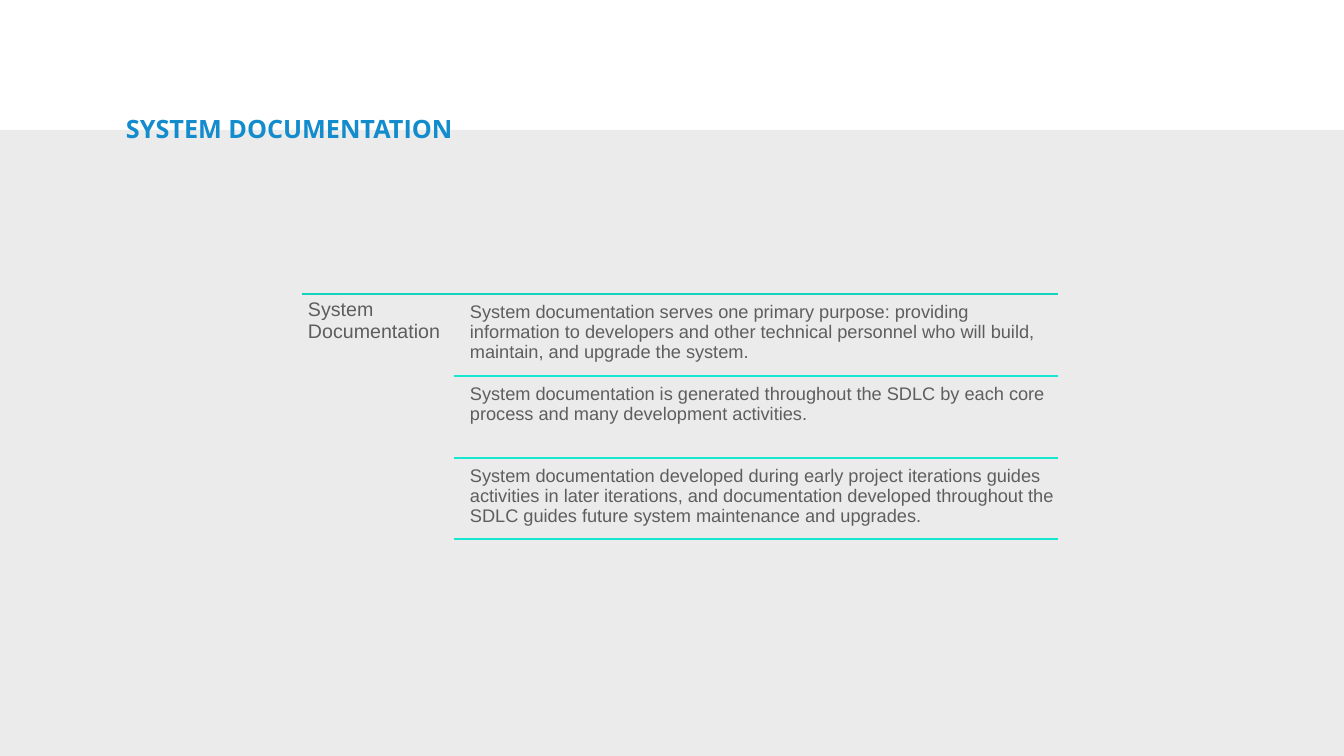
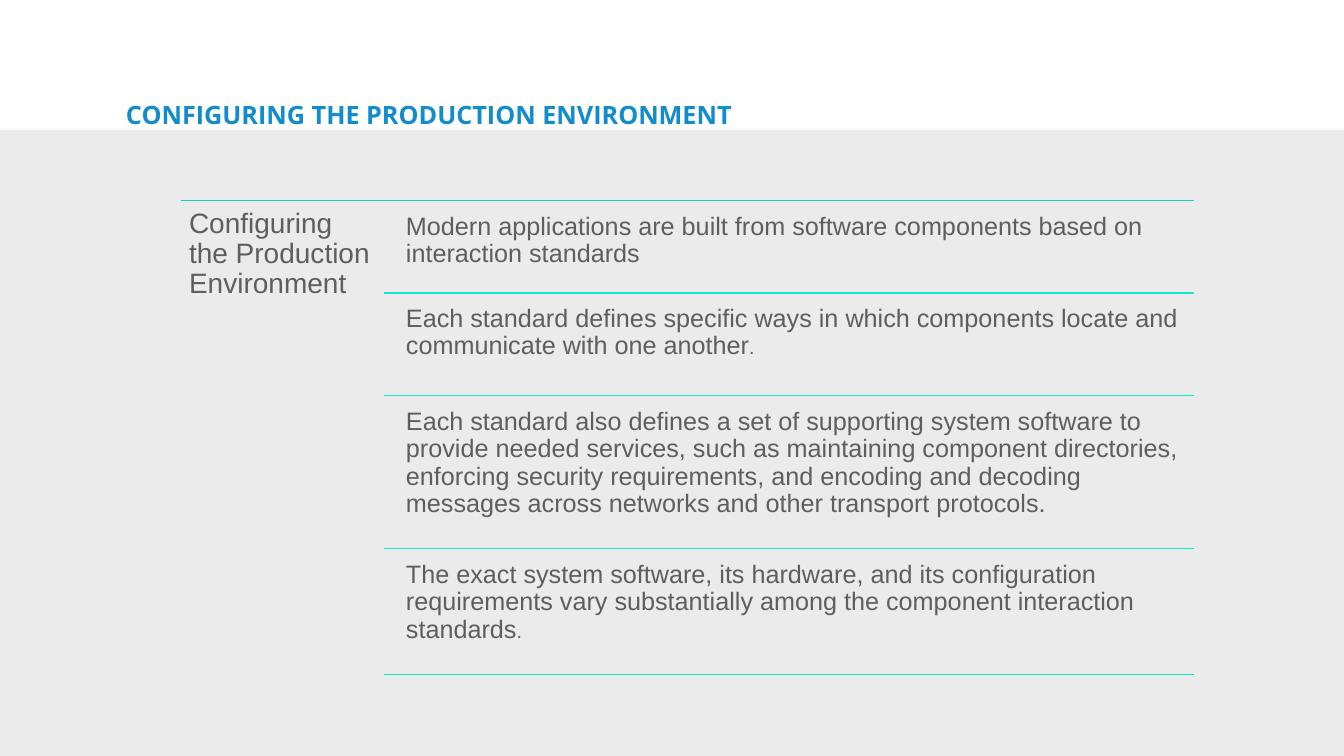
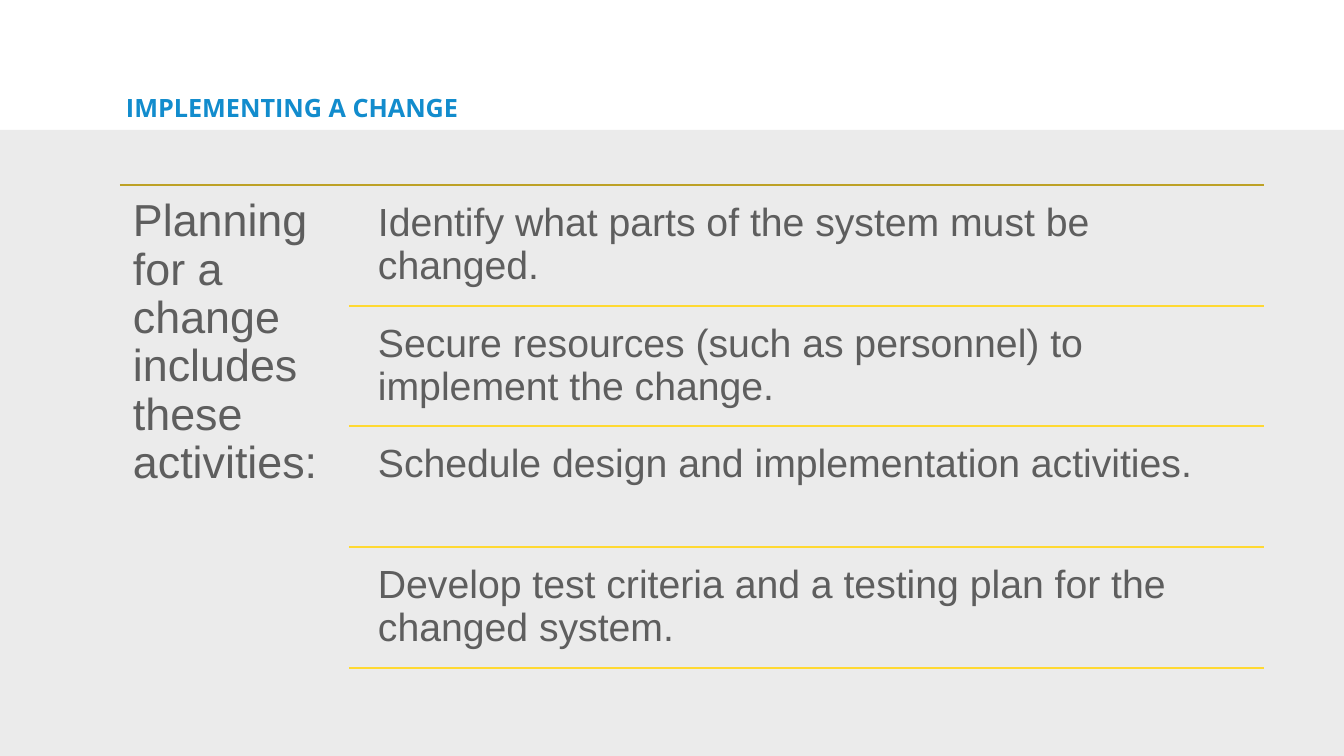
from dataclasses import dataclass
from itertools import accumulate

from lxml.etree import SubElement
from pptx import Presentation
from pptx.dml.color import RGBColor
from pptx.enum.shapes import MSO_CONNECTOR, MSO_SHAPE
from pptx.enum.text import MSO_ANCHOR, MSO_AUTO_SIZE, PP_ALIGN
from pptx.oxml.ns import qn
from pptx.shapes.shapetree import GroupShapes
from pptx.slide import Slide, SlideLayout
from pptx.text.text import TextFrame
from pptx.util import Pt

EMU_PER_PX = 914400 / 100.8
SLIDE_WIDTH, SLIDE_HEIGHT = 1344, 756
BAND_TOP = 130
TITLE_LEFT, TITLE_WIDTH, TITLE_INSET = 120, 811, 6


@dataclass(frozen=True)
class TextStyle:
    font: str
    color: str
    size: int
    bold: bool = False
    spacing: float = 0.9


@dataclass(frozen=True)
class Theme:
    band: str = "EBEBEB"
    teal: str = "16E7CF"
    dark_teal: str = "14D2BC"
    yellow: str = "FFD932"
    dark_yellow: str = "BDA125"
    title: TextStyle = TextStyle("Open Sans", "128CCD", 18, True, 1.15)
    body_font: str = "Arial"
    body_color: str = "5E5E5E"
    small_stop: int = 14

    def body(self, size: int) -> TextStyle:
        return TextStyle(self.body_font, self.body_color, size)


THEME = Theme()


@dataclass(frozen=True)
class Run:
    text: str
    size: int | None = None


@dataclass(frozen=True)
class Row:
    height: int
    runs: tuple[Run, ...]


@dataclass(frozen=True)
class Box:
    left: int
    top: int
    width: int
    height: int


@dataclass(frozen=True)
class Outline:
    """A label on the left and ruled rows on the right of it."""
    label: str
    rows: tuple[Row, ...]
    left: int
    branch: int
    text_left: int
    right: int
    top: int
    gap: int
    label_inset: int
    row_inset: int
    label_size: int
    row_size: int
    head_color: str
    rule_color: str
    rule_width: float


@dataclass(frozen=True)
class Page:
    title: str
    title_top: int
    title_height: int
    outline: Outline


SMALL_STOP = Run(".", THEME.small_stop)

PAGES = (
    Page("SYSTEM DOCUMENTATION", 103, 28, Outline(
        label="System Documentation",
        rows=(
            Row(82, (Run("System documentation serves one primary purpose: providing "
                         "information to developers and other technical personnel who "
                         "will build, maintain, and upgrade the system."),)),
            Row(82, (Run("System documentation is generated throughout the SDLC by "
                         "each core process and many development activities."),)),
            Row(81, (Run("System documentation developed during early project "
                         "iterations guides activities in later iterations, and "
                         "documentation developed throughout the SDLC guides future "
                         "system maintenance and upgrades."),)),
        ),
        left=302, branch=454, text_left=465, right=1058, top=294, gap=4,
        label_inset=6, row_inset=5, label_size=14, row_size=13,
        head_color=THEME.dark_teal, rule_color=THEME.teal, rule_width=2)),
    Page("CONFIGURING THE PRODUCTION ENVIRONMENT", 89, 37, Outline(
        label="Configuring the Production Environment",
        rows=(
            Row(92, (Run("Modern applications are built from software components "
                         "based on interaction standards"),)),
            Row(103, (Run("Each standard defines specific ways in which components "
                          "locate and communicate with one another"), SMALL_STOP)),
            Row(153, (Run("Each standard also defines a set of supporting system "
                          "software to provide needed services, such as maintaining "
                          "component directories, enforcing security requirements, and "
                          "encoding and decoding messages across networks and other "
                          "transport protocols."),)),
            Row(126, (Run("The exact system software, its hardware, and its "
                          "configuration requirements vary substantially among the "
                          "component interaction standards"), SMALL_STOP)),
        ),
        left=181, branch=384, text_left=399, right=1194, top=201, gap=6,
        label_inset=8, row_inset=7, label_size=20, row_size=18,
        head_color=THEME.dark_teal, rule_color=THEME.teal, rule_width=0.75)),
    Page("IMPLEMENTING A CHANGE", 82, 49, Outline(
        label="Planning for a change includes these activities:",
        rows=(
            Row(121, (Run("Identify what parts of the system must be changed."),)),
            Row(120, (Run("Secure resources (such as personnel) to implement "
                          "the change."),)),
            Row(121, (Run("Schedule design and implementation activities."),)),
            Row(121, (Run("Develop test criteria and a testing plan for the "
                          "changed system."),)),
        ),
        left=120, branch=349, text_left=366, right=1264, top=185, gap=6,
        label_inset=13, row_inset=12, label_size=32, row_size=28,
        head_color=THEME.dark_yellow, rule_color=THEME.yellow, rule_width=2)),
)


def px(length: int) -> int:
    return round(length * EMU_PER_PX)


def write_text(frame: TextFrame, runs: tuple[Run, ...], style: TextStyle,
               inset: int) -> None:
    frame.word_wrap = True
    frame.auto_size = MSO_AUTO_SIZE.NONE
    frame.vertical_anchor = MSO_ANCHOR.TOP
    frame.margin_left = frame.margin_right = px(inset)
    frame.margin_top = frame.margin_bottom = px(inset)
    paragraph = frame.paragraphs[0]
    paragraph.alignment = PP_ALIGN.LEFT
    paragraph.line_spacing = style.spacing
    for part in runs:
        run = paragraph.add_run()
        run.text = part.text
        run.font.name = style.font
        run.font.size = Pt(part.size or style.size)
        run.font.bold = style.bold
        run.font.color.rgb = RGBColor.from_string(style.color)


def add_text(group: GroupShapes, box: Box, runs: tuple[Run, ...], size: int,
             inset: int) -> None:
    textbox = group.add_textbox(px(box.left), px(box.top), px(box.width), px(box.height))
    write_text(textbox.text_frame, runs, THEME.body(size), inset)


def add_rule(group: GroupShapes, left: int, right: int, y: int, color: str,
             width: float) -> None:
    rule = group.add_connector(MSO_CONNECTOR.STRAIGHT, px(left), px(y), px(right), px(y))
    rule.line.color.rgb = RGBColor.from_string(color)
    rule.line.width = Pt(width)
    SubElement(rule.element.spPr, qn("a:effectLst"))


def add_outline(slide: Slide, outline: Outline) -> None:
    group = slide.shapes.add_group_shape().shapes
    edges = list(accumulate((row.height for row in outline.rows), initial=outline.top))
    add_rule(group, outline.left, outline.right, outline.top, outline.head_color,
             outline.rule_width)
    label_box = Box(outline.left, outline.top, outline.branch - outline.left,
                    edges[-1] + outline.gap - outline.top)
    add_text(group, label_box, (Run(outline.label),), outline.label_size,
             outline.label_inset)
    for row, top, bottom in zip(outline.rows, edges, edges[1:]):
        row_box = Box(outline.text_left, top + outline.gap,
                      outline.right - outline.text_left, row.height - outline.gap)
        add_text(group, row_box, row.runs, outline.row_size, outline.row_inset)
        add_rule(group, outline.branch, outline.right, bottom, outline.rule_color,
                 outline.rule_width)


def add_title(slide: Slide, page: Page) -> None:
    title = slide.shapes.title
    title.left, title.top = px(TITLE_LEFT), px(page.title_top)
    title.width, title.height = px(TITLE_WIDTH), px(page.title_height)
    write_text(title.text_frame, (Run(page.title),), THEME.title, TITLE_INSET)


def move_band_to_layout(slide: Slide, layout: SlideLayout) -> None:
    """Draw the grey band on a slide, then hand it to the layout all slides share."""
    band = slide.shapes.add_shape(MSO_SHAPE.RECTANGLE, 0, px(BAND_TOP), px(SLIDE_WIDTH),
                                  px(SLIDE_HEIGHT - BAND_TOP))
    band.shadow.inherit = False
    band.fill.solid()
    band.fill.fore_color.rgb = RGBColor.from_string(THEME.band)
    band.line.fill.background()
    layout.shapes.element.insert(2, band.element)


def main() -> None:
    deck = Presentation()
    deck.slide_width, deck.slide_height = px(SLIDE_WIDTH), px(SLIDE_HEIGHT)
    title_only = deck.slide_layouts.get_by_name("Title Only")
    slides = [deck.slides.add_slide(title_only) for _ in PAGES]
    move_band_to_layout(slides[0], title_only)
    for slide, page in zip(slides, PAGES):
        add_title(slide, page)
        add_outline(slide, page.outline)
    deck.save("out.pptx")


if __name__ == "__main__":
    main()
